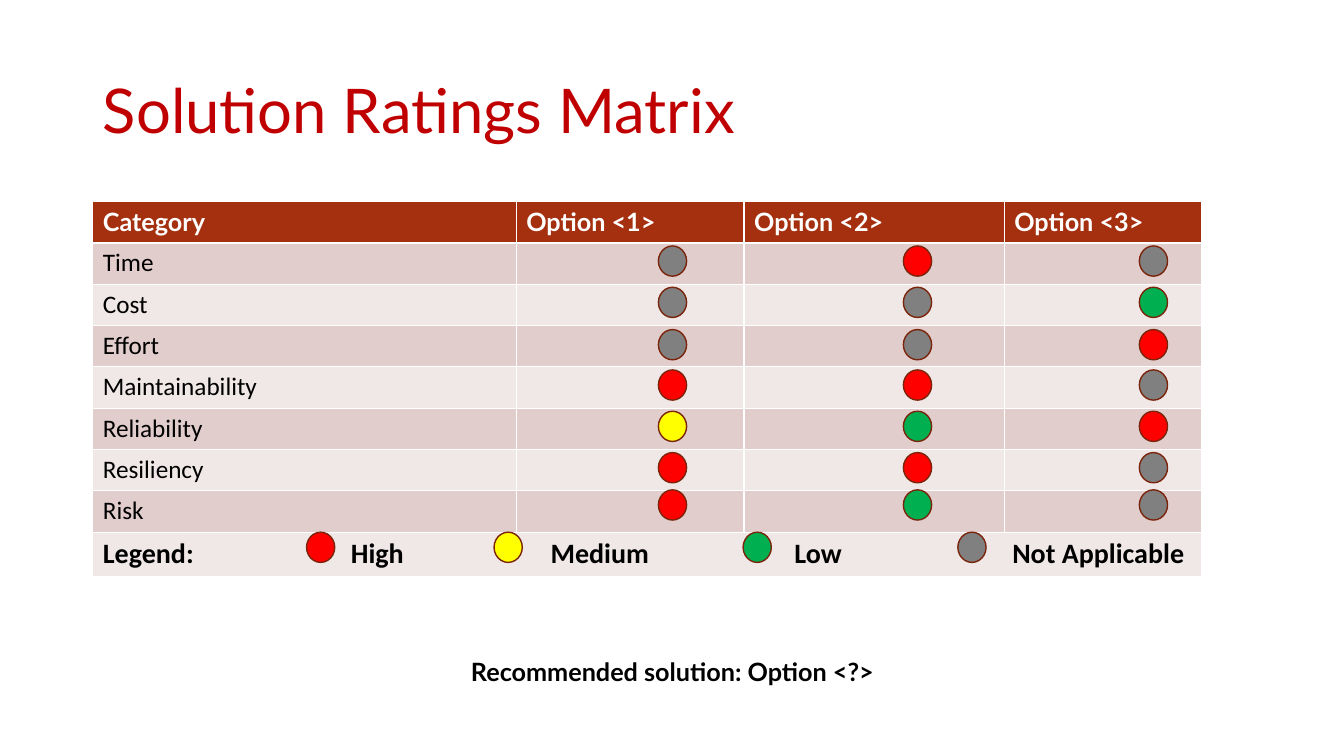
from dataclasses import dataclass
from lxml import etree
from pptx import Presentation
from pptx.dml.color import RGBColor as RGB
from pptx.enum.shapes import MSO_SHAPE as SHAPE
from pptx.enum.text import MSO_ANCHOR as ANCHOR, PP_ALIGN as ALIGN
from pptx.oxml.ns import qn
from pptx.util import Inches as In, Pt


@dataclass(frozen=True)
class Theme:
    title: str = "C00000"
    header: str = "A5300F"
    bands: tuple = ("F0E8E7", "E1CDCC")
    outline: str = "7A240B"
    ink: str = "000000"
    paper: str = "FFFFFF"
    head_font: str = "Lato"
    body_font: str = "Calibri"
    title_size: int = 44
    legend_size: int = 20
    body_size: int = 18


T = Theme()
RATINGS = {"H": "FF0000", "M": "FFFF00", "L": "00B050", "N": "808080"}


def write(tf, text, size=T.body_size, font=T.body_font, color=T.ink,
          bold=False, align=ALIGN.LEFT):
    p = tf.paragraphs[0]
    p.alignment = align
    r = p.add_run()
    r.text = text
    r.font.size, r.font.name, r.font.bold = Pt(size), font, bold
    r.font.color.rgb = RGB.from_string(color)
    return p


def dot(x, y, rating):
    sp = s.shapes.add_shape(SHAPE.OVAL, In(x), In(y), In(0.28), In(0.3))
    sp.shadow.inherit = False
    sp.fill.solid()
    sp.fill.fore_color.rgb = RGB.from_string(RATINGS[rating])
    sp.line.color.rgb = RGB.from_string(T.outline)
    sp.line.width = Pt(1)


prs = Presentation()
prs.slide_width, prs.slide_height = In(13.33), In(7.5)
s = prs.slides.add_slide(prs.slide_layouts[5])
LEFT, WIDTH = 0.92, 11.5

# Title
title = s.shapes.title
title.left, title.top, title.width, title.height = In(LEFT), In(0.4), In(WIDTH), In(1.45)
title.text_frame.vertical_anchor = ANCHOR.MIDDLE
p = write(title.text_frame, "Solution Ratings Matrix", size=T.title_size,
          font=T.head_font, color=T.title)
p.line_spacing = 0.9

# Ratings table
headers = ["Category", "Option <1>", "Option <2>", "Option <3>"]
ratings = {"Time": "NHN", "Cost": "NNL", "Effort": "NNH", "Maintainability": "HHN",
           "Reliability": "MLH", "Resiliency": "HHN", "Risk": "HLN"}
col_widths = [4.2, 2.26, 2.58, 1.96]
row_height = 0.41
n_rows = len(ratings) + 2
table = s.shapes.add_table(n_rows, len(headers), In(LEFT), In(2), In(sum(col_widths)),
                           In(n_rows * row_height)).table
for col, width in zip(table.columns, col_widths):
    col.width = In(width)
for i, row in enumerate(table.rows):
    row.height = In(row_height)
    for cell in row.cells:
        cell.fill.solid()
        cell.fill.fore_color.rgb = RGB.from_string(T.bands[i % 2] if i else T.header)
for c, text in enumerate(headers):
    write(table.cell(0, c).text_frame, text, font=T.head_font, color=T.paper, bold=True)
for i, category in enumerate(ratings, 1):
    write(table.cell(i, 0).text_frame, category)
    for c in range(1, len(headers)):
        table.cell(i, c).text_frame.paragraphs[0].font.size = Pt(T.body_size)

# Rating dots
dot_cols = [6.53, 8.96, 11.3]
dot_rows = [2.44, 2.85, 3.27, 3.67, 4.08, 4.49, 4.86]
for y, marks in zip(dot_rows, ratings.values()):
    for x, mark in zip(dot_cols, marks):
        dot(x, y, mark)

# Legend: label, rating, dot position, label position
legend = [("High", "H", 3.04, 3.48), ("Medium", "M", 4.9, 5.46),
          ("Low", "L", 7.37, 7.88), ("Not Applicable", "N", 9.5, 10.04)]
last = n_rows - 1
table.cell(last, 0).merge(table.cell(last, len(headers) - 1))
p = write(table.cell(last, 0).text_frame,
          "\t".join(["Legend:"] + [item[0] for item in legend]),
          size=T.legend_size, bold=True)
tabs = etree.SubElement(p._p.get_or_add_pPr(), qn("a:tabLst"))
for label, rating, dot_x, label_x in legend:
    etree.SubElement(tabs, qn("a:tab"), pos=str(In(label_x - LEFT - 0.1)), algn="l")
    dot(dot_x, 5.28, rating)

# Recommendation
box = s.shapes.add_textbox(In(LEFT), In(6.46), In(WIDTH), In(0.4))
box.text_frame.word_wrap = True
write(box.text_frame, "Recommended solution: Option <?>", font=T.head_font,
      bold=True, align=ALIGN.CENTER)

prs.save("out.pptx")
